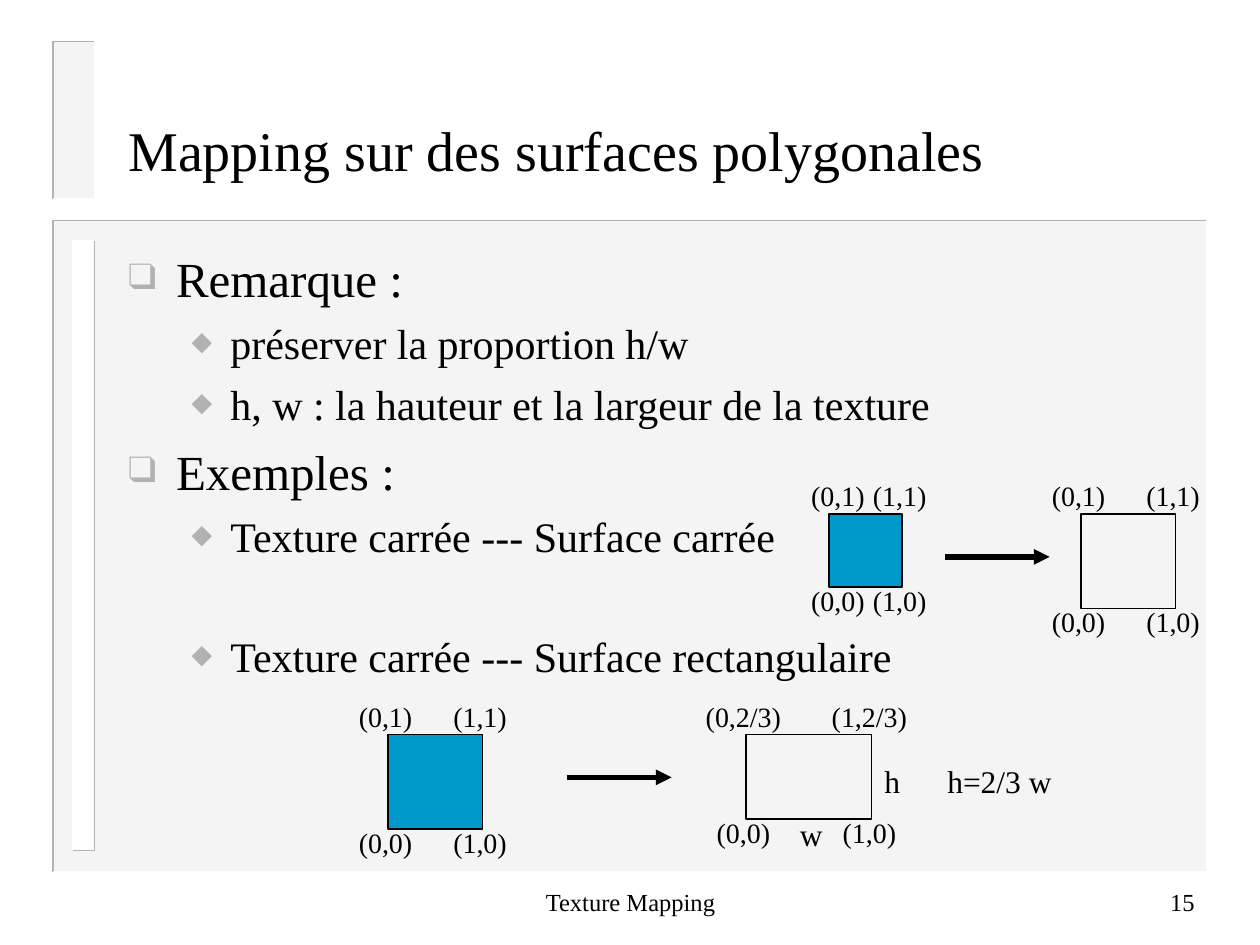
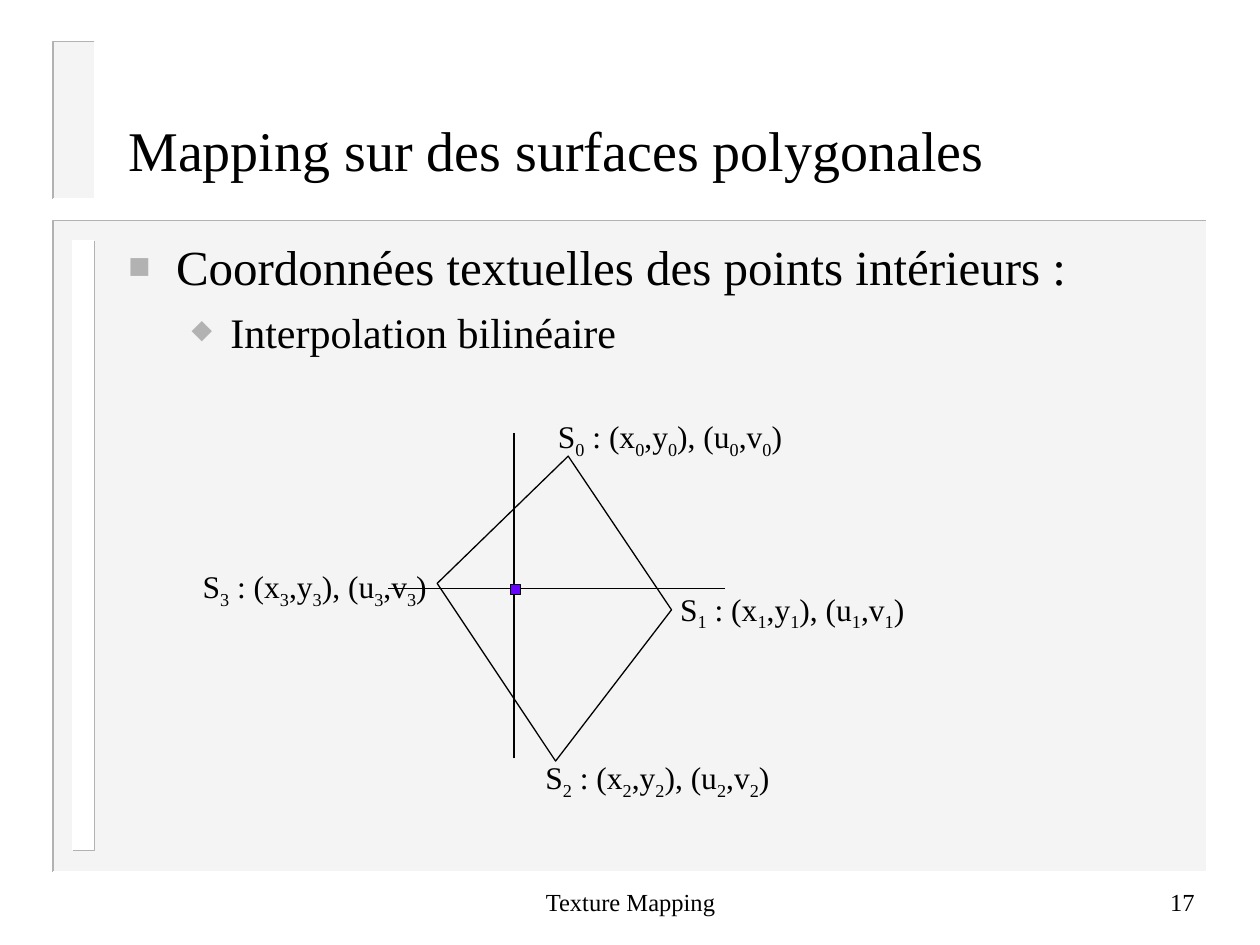
from dataclasses import dataclass

from lxml.etree import SubElement
from pptx import Presentation
from pptx.dml.color import RGBColor
from pptx.enum.shapes import MSO_CONNECTOR, MSO_SHAPE
from pptx.enum.text import MSO_ANCHOR, PP_ALIGN
from pptx.oxml.ns import qn
from pptx.util import Inches, Pt


@dataclass(frozen=True)
class Theme:
    """Colours, font and type sizes of the deck."""
    font: str = "Times New Roman"
    ink: str = "000000"
    paper: str = "FFFFFF"
    panel: str = "F4F4F4"
    shade: str = "B2B2B2"
    texture: str = "0099CC"
    point: str = "6600FF"
    title: int = 32
    topic: int = 28
    detail: int = 24
    label: int = 18
    corner: int = 16
    footer: int = 14
    hairline: float = 0.75
    edge: float = 1
    arrow: float = 3


@dataclass(frozen=True)
class Box:
    """A rectangle in inches."""
    left: float
    top: float
    width: float
    height: float

    @property
    def right(self):
        """Right edge."""
        return self.left + self.width

    @property
    def bottom(self):
        """Bottom edge."""
        return self.top + self.height

    def lengths(self):
        """Left, top, width and height as lengths."""
        return [Inches(side) for side in (self.left, self.top, self.width, self.height)]


THEME = Theme()
TITLE = Box(0.92, 0.83, 8.5, 0.71)
PANEL = Box(0.42, 1.75, 9.16, 5.17)
GUTTER = Box(0.58, 1.91, 0.17, 4.84)
TAB = Box(0.42, 0.33, 0.33, 1.25)
FOOTER = Box(3.42, 6.91, 3.17, 0.5)
NUMBER = Box(7.5, 6.91, 2.08, 0.5)


def color(value):
    """Turn a hex value into a colour."""
    return RGBColor.from_string(value)


def set_line(line, value, width):
    """Colour a line and set its width in points."""
    line.color.rgb = color(value)
    line.width = Pt(width)


def add_rectangle(page, box, fill=None, outline=None):
    """Draw a rectangle with an optional fill and outline."""
    shape = page.shapes.add_shape(MSO_SHAPE.RECTANGLE, *box.lengths())
    shape.shadow.inherit = False
    if fill:
        shape.fill.solid()
        shape.fill.fore_color.rgb = color(fill)
    else:
        shape.fill.background()
    if outline:
        set_line(shape.line, outline, THEME.hairline)
    else:
        shape.line.fill.background()


def add_outline(page, points, value, width, close=False):
    """Draw an unfilled path through the points."""
    corners = [(Inches(x), Inches(y)) for x, y in points]
    builder = page.shapes.build_freeform(*corners[0])
    builder.add_line_segments(corners[1:], close=close)
    shape = builder.convert_to_shape()
    shape.shadow.inherit = False
    shape.fill.background()
    set_line(shape.line, value, width)


def add_line(page, start, end, width, arrow=False):
    """Draw a straight line, with an arrowhead if asked."""
    ends = [Inches(value) for value in (*start, *end)]
    connector = page.shapes.add_connector(MSO_CONNECTOR.STRAIGHT, *ends)
    set_line(connector.line, THEME.ink, width)
    if arrow:
        SubElement(connector.line._get_or_add_ln(), qn("a:tailEnd"), type="triangle")
    SubElement(connector._element.spPr, qn("a:effectLst"))


def add_span(para, text, size, subscript=False):
    """Add one run to a paragraph."""
    span = para.add_run()
    span.text = text
    span.font.name = THEME.font
    span.font.size = Pt(size)
    span.font.color.rgb = color(THEME.ink)
    if subscript:
        span._r.get_or_add_rPr().set("baseline", "-25000")


def add_frame(page, box, anchor=MSO_ANCHOR.TOP):
    """Add a wrapping text box and return its text frame."""
    frame = page.shapes.add_textbox(*box.lengths()).text_frame
    frame.word_wrap = True
    frame.vertical_anchor = anchor
    return frame


def add_text(page, box, text, size, align=PP_ALIGN.LEFT, anchor=MSO_ANCHOR.TOP):
    """Add a text box with one line of text."""
    para = add_frame(page, box, anchor).paragraphs[0]
    para.alignment = align
    add_span(para, text, size)


def add_bevel(page, box, fill, top_left, bottom_right):
    """Draw a band whose opposite edges differ in colour."""
    add_rectangle(page, box, fill)
    for value, x, y in ((top_left, box.left, box.top),
                        (bottom_right, box.right, box.bottom)):
        path = [(box.right, box.top), (x, y), (box.left, box.bottom)]
        add_outline(page, path, value, THEME.edge)


def add_bullet(para, mark, margin, hang):
    """Give a paragraph a grey hanging bullet."""
    properties = para._p.get_or_add_pPr()
    properties.set("marL", str(Inches(margin)))
    properties.set("indent", str(-Inches(hang)))
    tint = SubElement(properties, qn("a:buClr"))
    SubElement(tint, qn("a:srgbClr"), val=THEME.shade)
    SubElement(properties, qn("a:buSzPct"), val="75000")
    SubElement(properties, qn("a:buFont"), typeface=THEME.font)
    SubElement(properties, qn("a:buChar"), char=mark)


def add_outline_text(page, box, mark, items):
    """Write topics and details given as (level, text, space before)."""
    frame = add_frame(page, box)
    styles = ((mark, 0.38, 0.38, THEME.topic), ("⬥", 0.81, 0.31, THEME.detail))
    for index, (level, text, space) in enumerate(items):
        para = frame.add_paragraph() if index else frame.paragraphs[0]
        para.level = level
        *bullet, size = styles[level]
        add_bullet(para, *bullet)
        if index:
            para.space_before = Pt(space)
        add_span(para, text, size)


def add_page(deck, title, number):
    """Add a page with the shared bands, title and footer."""
    page = deck.slides.add_slide(deck.slide_layouts[6])
    add_bevel(page, PANEL, THEME.panel, THEME.shade, THEME.paper)
    add_bevel(page, GUTTER, THEME.paper, THEME.paper, THEME.shade)
    add_bevel(page, TAB, THEME.panel, THEME.shade, THEME.paper)
    middle = MSO_ANCHOR.MIDDLE
    add_text(page, TITLE, title, THEME.title, anchor=middle)
    add_text(page, FOOTER, "Texture Mapping", THEME.footer, PP_ALIGN.CENTER, middle)
    add_text(page, NUMBER, number, THEME.footer, PP_ALIGN.RIGHT, middle)
    return page


def add_surface(page, box, fill=None, height="1", left_shift=0):
    """Draw a surface with texture coordinates at its corners."""
    add_rectangle(page, box, fill, THEME.ink)
    width = 0.84
    for u, x in ((0, box.left + left_shift), (1, box.right)):
        for v, y in ((height, box.top - 0.33), ("0", box.bottom - 0.08)):
            place = Box(x - 0.02 - width / 2, y, width, 0.37)
            add_text(page, place, f"({u},{v})", THEME.corner, PP_ALIGN.CENTER)


def add_arrow(page, left, middle):
    """Draw a mapping arrow to the right."""
    add_line(page, (left, middle), (left + 0.83, middle), THEME.arrow, arrow=True)


def add_square_example(page, box):
    """Map a square texture to a square surface."""
    add_surface(page, Box(box.left, box.top, 0.58, 0.58), THEME.texture, left_shift=0.09)
    add_arrow(page, box.left + 0.92, box.top + 0.34)
    add_surface(page, Box(box.right - 0.75, box.top, 0.75, 0.75))


def add_rectangle_example(page, box):
    """Map a square texture to a rectangular surface."""
    surface = Box(box.right - 1, box.top, 1, 0.67)
    add_surface(page, Box(box.left, box.top, 0.75, 0.75), THEME.texture)
    add_arrow(page, box.left + 1.42, box.top + 0.34)
    add_surface(page, surface, height="2/3")
    for text, x, y, width in (("h", 1, 0.17, 0.4), ("w", 0.33, 0.59, 0.45),
                              ("h=2/3 w", 1.5, 0.17, 1.2)):
        place = Box(surface.left + x, surface.top + y, width, 0.4)
        add_text(page, place, text, THEME.label)


def add_vertex_label(page, box, index):
    """Write the position and texture coordinates of a vertex."""
    para = add_frame(page, box).paragraphs[0]
    for text in ("S", " : (x", ",y", "), (u", ",v"):
        add_span(para, text, THEME.label)
        add_span(para, str(index), THEME.label, subscript=True)
    add_span(para, ")", THEME.label)


def add_quadrilateral(page, box):
    """Draw a quadrilateral, two scan lines and an inner point."""
    vertices = [(box.left + 1.04, box.top), (box.right, box.top + 1.22),
                (box.left + 0.94, box.bottom), (box.left, box.top + 1.01)]
    offsets = [(-0.18, -0.36), (-0.03, -0.21), (-0.18, -0.07), (-1.96, -0.18)]
    add_outline(page, vertices, THEME.ink, THEME.hairline, close=True)
    x, y = box.left + 0.61, box.top + 1.05
    add_line(page, (box.left - 0.39, y), (box.right + 0.42, y), THEME.hairline)
    add_line(page, (x, box.bottom - 0.02), (x, box.top - 0.18), THEME.hairline)
    add_rectangle(page, Box(x - 0.03, y - 0.03, 0.08, 0.08), THEME.point, THEME.ink)
    for index, (vertex, offset) in enumerate(zip(vertices, offsets)):
        place = Box(vertex[0] + offset[0], vertex[1] + offset[1], 2.1, 0.44)
        add_vertex_label(page, place, index)


def add_proportion_page(deck, title):
    """Add the page about keeping the texture's proportions."""
    page = add_page(deck, title, "15")
    add_outline_text(page, Box(0.92, 1.92, 8.5, 4.83), "❑", [
        (0, "Remarque :", 0),
        (1, "préserver la proportion h/w", 6),
        (1, "h, w : la hauteur et la largeur de la texture", 6),
        (0, "Exemples :", 7),
        (1, "Texture carrée --- Surface carrée", 6),
        (1, "Texture carrée --- Surface rectangulaire", 40)])
    add_square_example(page, Box(6.58, 4.08, 2.75, 0.75))
    add_rectangle_example(page, Box(3.08, 5.83, 3.84, 0.75))


def add_interpolation_page(deck, title):
    """Add the page about bilinear interpolation."""
    page = add_page(deck, title, "17")
    add_outline_text(page, Box(0.92, 1.83, 8.5, 4.92), "■", [
        (0, "Coordonnées textuelles des points intérieurs :", 0),
        (1, "Interpolation bilinéaire", 6)])
    add_quadrilateral(page, Box(3.47, 3.62, 1.86, 2.42))


def main():
    """Build and save the deck."""
    deck = Presentation()
    deck.slide_width, deck.slide_height = Inches(10), Inches(7.5)
    title = "Mapping sur des surfaces polygonales"
    add_proportion_page(deck, title)
    add_interpolation_page(deck, title)
    deck.save("out.pptx")


if __name__ == "__main__":
    main()
